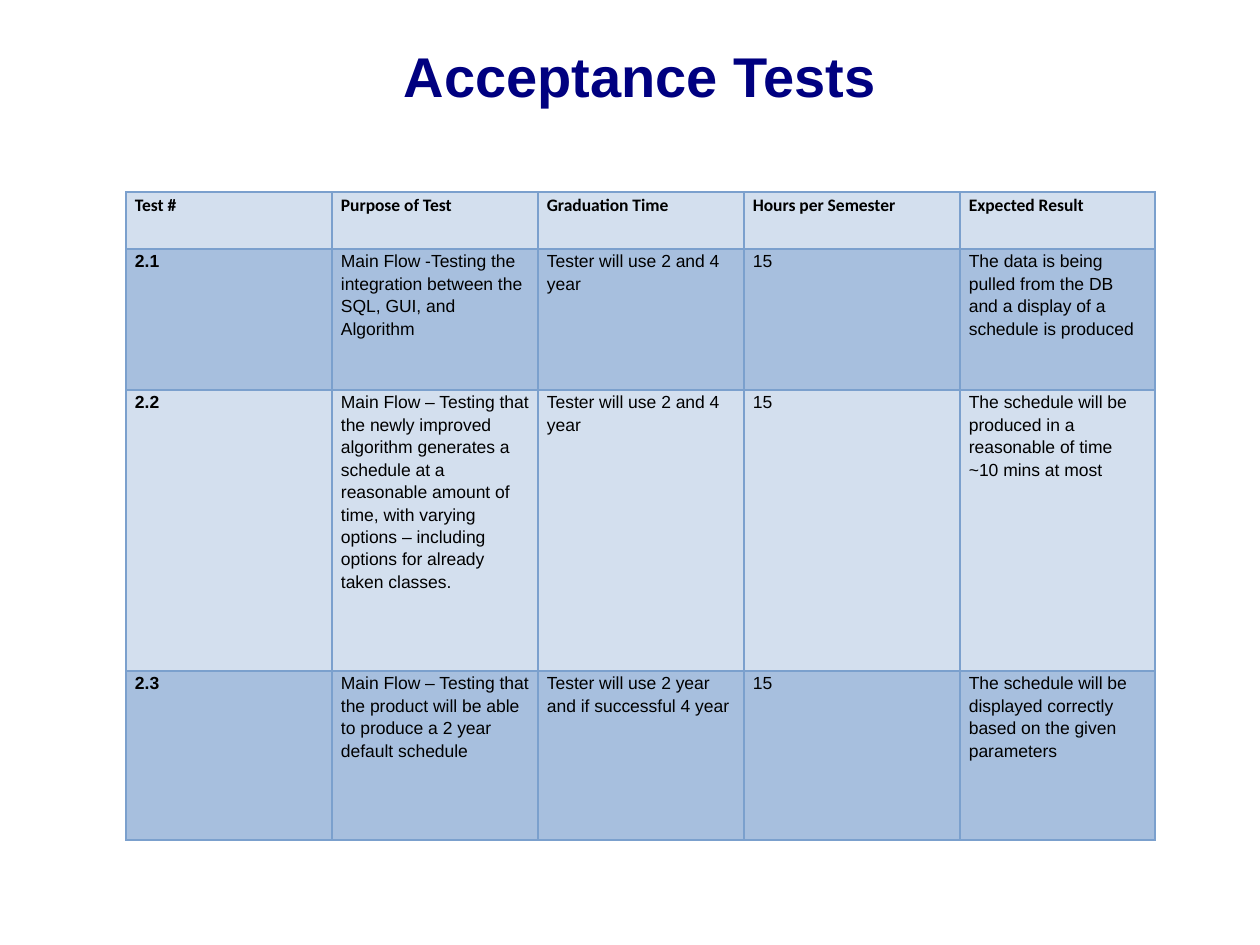
from lxml import etree
from pptx import Presentation
from pptx import util as u
from pptx.dml.color import RGBColor
from pptx.enum import text
from pptx.oxml import ns

SCALE = 914400 / 126
COLORS = {"title": "000080", "ink": "000000", "line": "7BA0CD",
          "light": "D3DFEE", "dark": "A7BFDE"}
COLS = [206, 206, 206, 216, 195]
ROWS = [57, 141, 281, 169]
TESTS = [
    ["Test #", "Purpose of Test", "Graduation Time", "Hours per Semester",
     "Expected Result"],
    ["2.1", "Main Flow -Testing the integration between the SQL, GUI, and Algorithm",
     "Tester will use 2 and 4 year", "15",
     "The data is being pulled from the DB and a display of a schedule is produced"],
    ["2.2", "Main Flow – Testing that the newly improved algorithm generates a "
     "schedule at a reasonable amount of time, with varying options – including "
     "options for already taken classes.",
     "Tester will use 2 and 4 year", "15",
     "The schedule will be produced in a reasonable of time ~10 mins at most"],
    ["2.3", "Main Flow – Testing that the product will be able to produce a 2 year "
     "default schedule",
     "Tester will use 2 year and if successful 4 year", "15",
     "The schedule will be displayed correctly based on the given parameters"],
]


def px(n):
    """Turn pixels into EMU."""
    return u.Emu(round(n * SCALE))


def style(font, name, size, color, bold):
    """Set the look of a font."""
    font.name, font.size, font.bold = name, u.Pt(size), bold
    font.color.rgb = RGBColor.from_string(COLORS[color])


def edge(cell):
    """Draw a thin line on all four sides of a cell."""
    props = cell._tc.get_or_add_tcPr()
    for i, side in enumerate("LRTB"):
        line = etree.Element(ns.qn("a:ln" + side), w=str(u.Pt(1)))
        fill = etree.SubElement(line, ns.qn("a:solidFill"))
        etree.SubElement(fill, ns.qn("a:srgbClr"), val=COLORS["line"])
        props.insert(i, line)


def add_title(slide, x, y, w, h):
    """Place the centred heading in its box."""
    frame = slide.shapes.add_textbox(px(x), px(y), px(w), px(h)).text_frame
    frame.word_wrap = True
    frame.vertical_anchor = text.MSO_ANCHOR.MIDDLE
    para = frame.paragraphs[0]
    para.text = "Acceptance Tests"
    para.alignment = text.PP_ALIGN.CENTER
    style(para.font, "Arial", 32, "title", True)


def fill_cell(cell, words, row, col):
    """Write and colour one cell."""
    cell.margin_left = cell.margin_right = px(9)
    cell.margin_top = cell.margin_bottom = 0
    cell.fill.solid()
    shade = "dark" if row % 2 else "light"
    cell.fill.fore_color.rgb = RGBColor.from_string(COLORS[shade])
    edge(cell)
    para = cell.text_frame.paragraphs[0]
    para.text = words
    para.line_spacing = 1.15
    style(para.font, "Arial" if row else "Calibri", 10, "ink",
          row == 0 or col == 0)


def add_tests(slide, x, y):
    """Place the table of tests with its corner at x, y."""
    table = slide.shapes.add_table(len(ROWS), len(COLS), px(x), px(y),
                                   px(sum(COLS)), px(sum(ROWS))).table
    for col, width in zip(table.columns, COLS):
        col.width = px(width)
    for r, height in enumerate(ROWS):
        table.rows[r].height = px(height)
        for c, words in enumerate(TESTS[r]):
            fill_cell(table.cell(r, c), words, r, c)


def main():
    """Build and save the slide."""
    deck = Presentation()
    deck.slide_width, deck.slide_height = px(1260), px(945)
    slide = deck.slides.add_slide(deck.slide_layouts[6])
    add_title(slide, 63, 35, 1154, 81)
    add_tests(slide, 126, 192)
    deck.save("out.pptx")


main()
